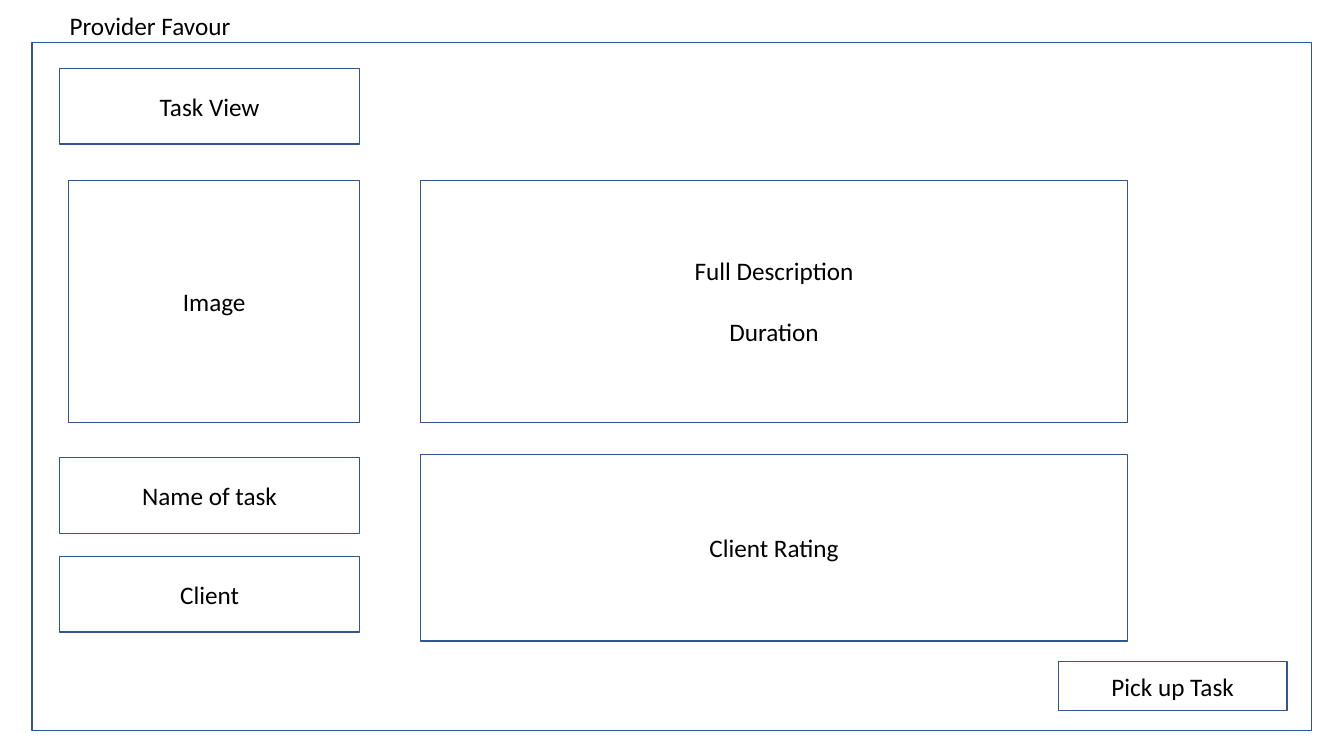
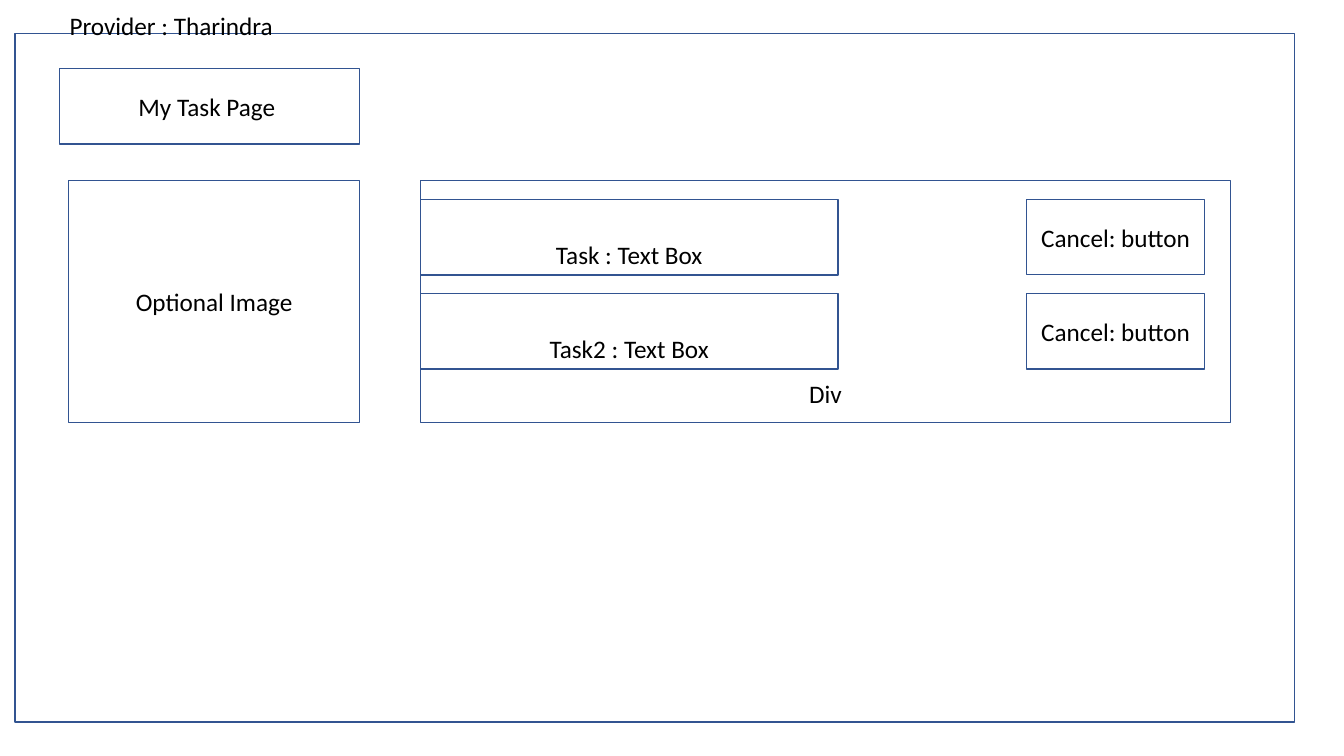
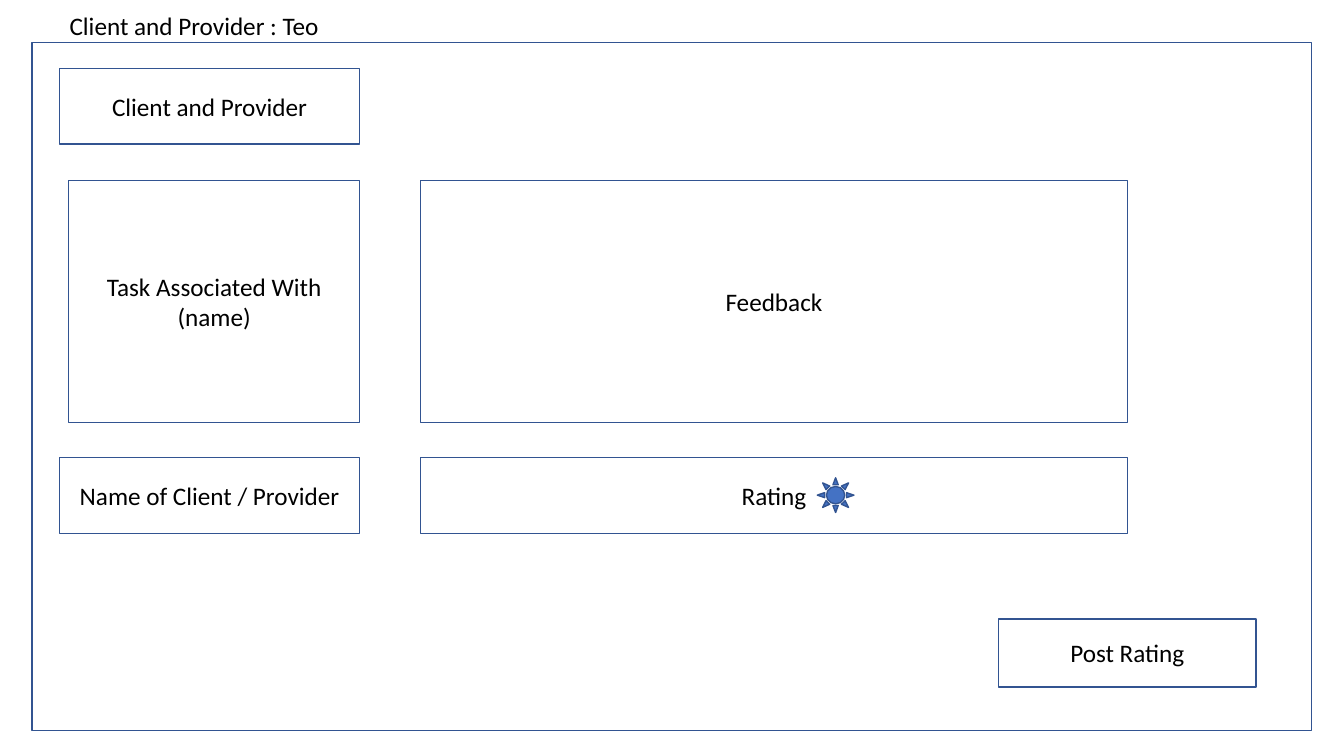
"""Build three wireframe slides for a task marketplace."""
from pptx import Presentation
from pptx.dml.color import RGBColor
from pptx.enum import shapes, text
from pptx.util import Pt

COLOURS = {"paper": "FFFFFF", "outline": "325491", "ink": "000000", "sun": "4472C4"}
FONT, FONT_SIZE = "Calibri", 18
RECTANGLE = shapes.MSO_SHAPE.RECTANGLE
PROCESS = shapes.MSO_SHAPE.FLOWCHART_PROCESS
SUN = shapes.MSO_SHAPE.SUN

LABEL_LEFT, LABEL_WIDTH, ROW_HEIGHT = 42.5, 214.5, 54
PANEL_LEFT, PANEL_WIDTH = 300.2, 505.4
PANEL_TOP, PANEL_HEIGHT = 128.9, 172.8
LOWER_TOP = 326.9
HEADING = (LABEL_LEFT, 49, LABEL_WIDTH, ROW_HEIGHT)
IMAGE = (49, PANEL_TOP, 208, PANEL_HEIGHT)
PANEL = (PANEL_LEFT, PANEL_TOP, PANEL_WIDTH, PANEL_HEIGHT)
NAME = (LABEL_LEFT, LOWER_TOP, LABEL_WIDTH, ROW_HEIGHT)


def style_text(paragraph, alignment):
    paragraph.alignment = alignment
    paragraph.font.name = FONT
    paragraph.font.size = Pt(FONT_SIZE)
    paragraph.font.color.rgb = RGBColor.from_string(COLOURS["ink"])


def add_box(slide, kind, bounds, lines=(), bottom=None, fill="paper"):
    shape = slide.shapes.add_shape(kind, *map(Pt, bounds))
    shape.shadow.inherit = False
    shape.fill.solid()
    shape.fill.fore_color.rgb = RGBColor.from_string(COLOURS[fill])
    shape.line.color.rgb = RGBColor.from_string(COLOURS["outline"])
    shape.line.width = Pt(1)
    frame = shape.text_frame
    frame.vertical_anchor = text.MSO_ANCHOR.MIDDLE
    if bottom is not None:
        frame.vertical_anchor = text.MSO_ANCHOR.BOTTOM
        frame.margin_bottom = Pt(bottom)
    for index, line in enumerate(lines):
        paragraph = frame.add_paragraph() if index else frame.paragraphs[0]
        paragraph.text = line
        paragraph.space_before = Pt(22 if index else 0)
        style_text(paragraph, text.PP_ALIGN.CENTER)


presentation = Presentation()
presentation.slide_width, presentation.slide_height = Pt(960), Pt(540)

slides = []
for heading, width, page_left, page_top in [
    ("Provider Favour", 152, 23, 30.2),
    ("Provider : Tharindra", 381, 10.8, 23.8),
    ("Client and Provider : Teo", 230.4, 23, 30.2),
]:
    slide = presentation.slides.add_slide(presentation.slide_layouts[5])
    slides.append(slide)
    add_box(slide, PROCESS, (page_left, page_top, 913.7, 491.8))
    title = slide.shapes.title
    title.left, title.top, title.width, title.height = map(Pt, (LABEL_LEFT, 3.6, width, 29))
    title.text_frame.text = heading
    title.text_frame.word_wrap = True
    title.text_frame.auto_size = text.MSO_AUTO_SIZE.SHAPE_TO_FIT_TEXT
    title.text_frame.vertical_anchor = text.MSO_ANCHOR.TOP
    title.text_frame.paragraphs[0].line_spacing = 1.0
    style_text(title.text_frame.paragraphs[0], text.PP_ALIGN.LEFT)
    slide.shapes.element.append(title.element)

task_view, my_tasks, feedback = slides

for kind, bounds, *lines in [
    (RECTANGLE, HEADING, "Task View"),
    (PROCESS, IMAGE, "Image"),
    (PROCESS, PANEL, "Full Description", "Duration"),
    (RECTANGLE, NAME, "Name of task"),
    (RECTANGLE, (LABEL_LEFT, 397.6, LABEL_WIDTH, ROW_HEIGHT), "Client"),
    (PROCESS, (PANEL_LEFT, 324.7, PANEL_WIDTH, 133.2), "Client Rating"),
    (PROCESS, (756, 472.3, 163.4, 35.3), "Pick up Task"),
]:
    add_box(task_view, kind, bounds, lines)

add_box(my_tasks, RECTANGLE, HEADING, ["My Task Page "])
add_box(my_tasks, PROCESS, IMAGE, ["Optional Image"])
add_box(my_tasks, PROCESS, (PANEL_LEFT, PANEL_TOP, 578.9, PANEL_HEIGHT), ["Div"], bottom=10)
for row, task in enumerate(["Task", "Task2"]):
    top = 142.3 + row * 67.4
    add_box(my_tasks, PROCESS, (PANEL_LEFT, top, 298.5, ROW_HEIGHT), [f"{task} : Text Box"], bottom=4)
    add_box(my_tasks, RECTANGLE, (733.4, top, 127, ROW_HEIGHT), ["Cancel: button"])

for kind, bounds, label in [
    (RECTANGLE, HEADING, "Client and Provider"),
    (PROCESS, IMAGE, "Task Associated With (name)"),
    (PROCESS, PANEL, "Feedback"),
    (RECTANGLE, NAME, "Name of Client / Provider"),
    (PROCESS, (713.3, 442.1, 183.9, 48.5), "Post Rating"),
    (PROCESS, (PANEL_LEFT, LOWER_TOP, PANEL_WIDTH, ROW_HEIGHT), "Rating"),
]:
    add_box(feedback, kind, bounds, [label])
add_box(feedback, SUN, (583.8, 341.3, 26.2, 24.8), fill="sun")

presentation.save("out.pptx")
